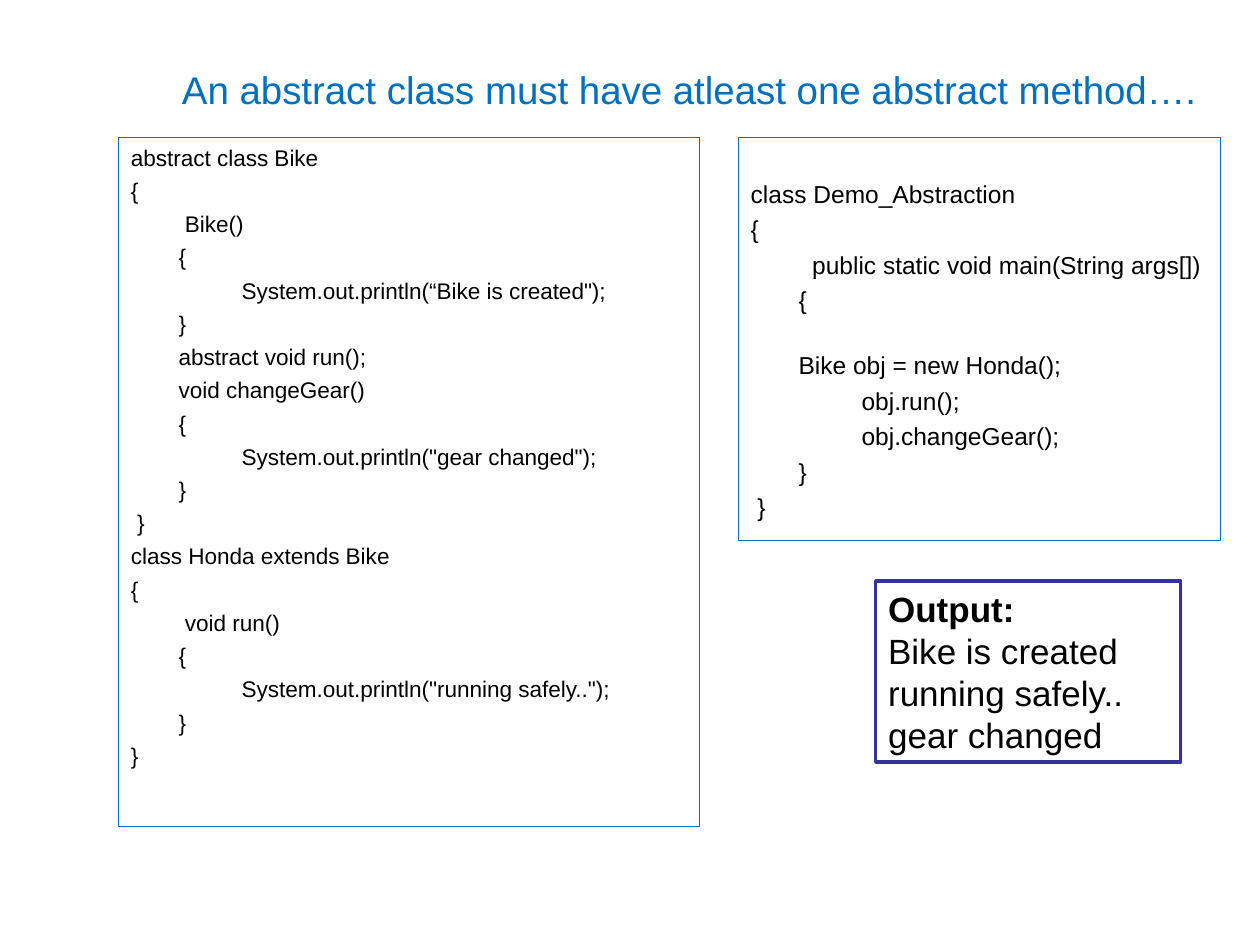
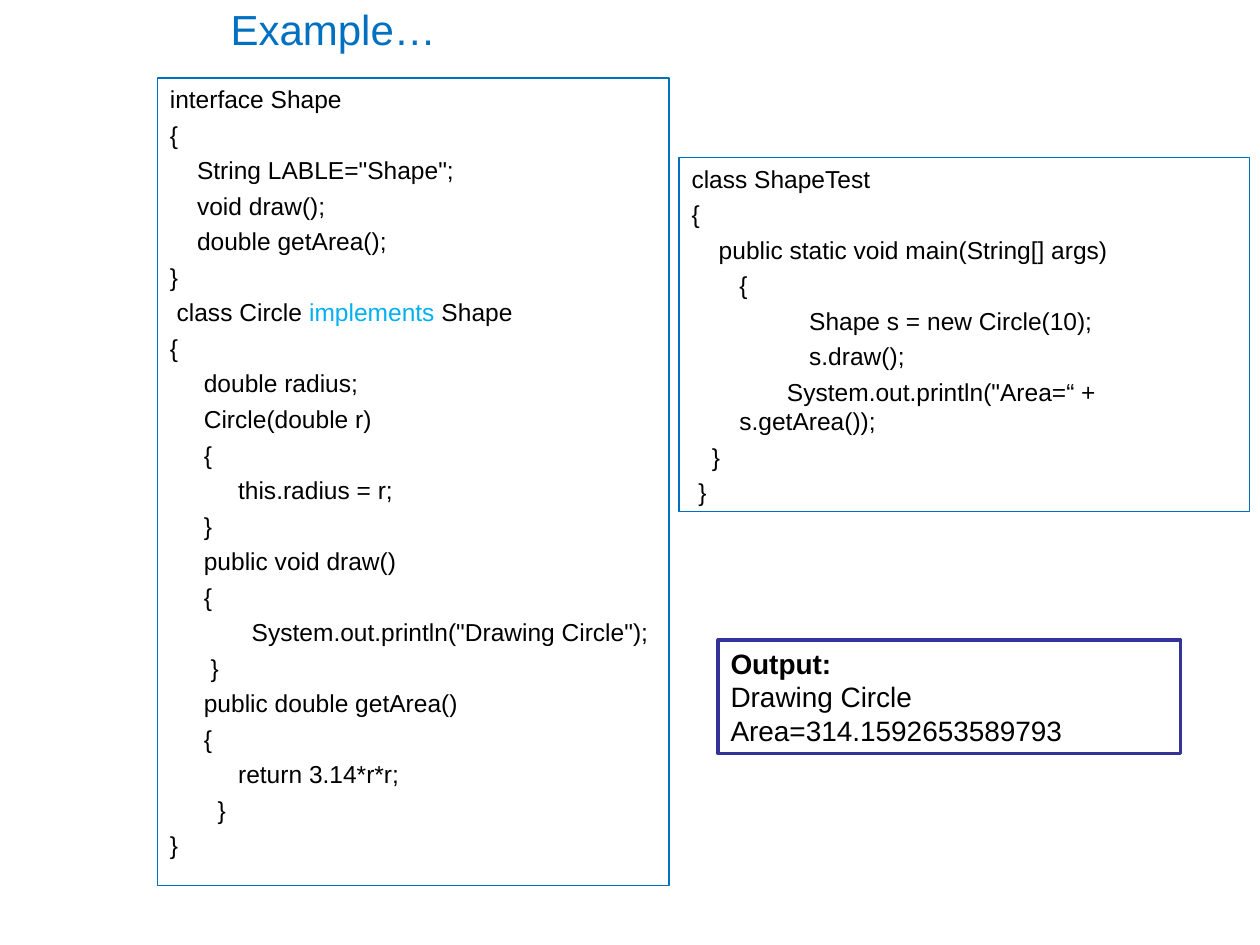
from lxml import etree
from pptx import Presentation, util as u
from pptx.dml.color import RGBColor
from pptx.enum import shapes, text
from pptx.oxml.ns import qn

COLORS = {"title": "0070C0", "code_border": "0070C0", "output_border": "333399",
          "text": "000000", "paper": "FFFFFF", "keyword": "00B0F0"}
FONT = "Arial"
LINE_HEIGHT = 1.2
CODE_GAP = 3.5
CODE_INDENT = 0.38

BIKE_CLASSES = [
    "abstract class Bike",
    "{",
    "\t Bike()",
    "\t{",
    "\t\tSystem.out.println(“Bike is created\");",
    "\t}",
    "\tabstract void run();",
    "\tvoid changeGear()",
    "\t{",
    "\t\tSystem.out.println(\"gear changed\");",
    "\t}",
    " }",
    "class Honda extends Bike",
    "{",
    "\t void run()",
    "\t{",
    "\t\tSystem.out.println(\"running safely..\");",
    "\t}",
    "}",
]
BIKE_DEMO = [
    "class Demo_Abstraction",
    "{",
    "\t  public static void main(String args[])",
    "\t{",
    "\tBike obj = new Honda();",
    "\t\tobj.run();",
    "\t\tobj.changeGear();",
    "\t}",
    " }",
]
SHAPE_TYPES = [
    "interface Shape",
    "{",
    "    String LABLE=\"Shape\";",
    "    void draw();",
    "    double getArea();",
    "}",
    " class Circle implements Shape",
    "{",
    "     double radius;",
    "     Circle(double r)",
    "     {",
    "\t   this.radius = r;",
    "     }",
    "     public void draw()",
    "     {",
    "\t     System.out.println(\"Drawing Circle\");",
    "      }",
    "     public double getArea()",
    "     {",
    "\t   return 3.14*r*r;",
    "\t}",
    "}",
]
SHAPE_TEST = [
    "class ShapeTest",
    "{",
    "    public static void main(String[] args)",
    "\t{",
    "\t\t Shape s = new Circle(10);",
    "\t\t s.draw();",
    "\t       System.out.println(\"Area=“ + s.getArea());",
    "   }",
    " }",
]


def rgb(name):
    return RGBColor.from_string(COLORS[name])


def write(paragraph, content, size, color="text", bold=False):
    run = paragraph.add_run()
    run.text = content
    run.font.name = FONT
    run.font.size = u.Pt(size)
    run.font.bold = bold
    run.font.color.rgb = rgb(color)


def add_code_tabs(paragraph):
    """Hang the first line and put a tab stop on every inch."""
    properties = paragraph._p.get_or_add_pPr()
    indent = u.Inches(CODE_INDENT)
    properties.set("marL", str(indent))
    properties.set("indent", str(-indent))
    stops = etree.SubElement(properties, qn("a:tabLst"))
    for inch in range(8):
        etree.SubElement(stops, qn("a:tab"), pos=str(u.Inches(inch)), algn="l")


class Deck:
    def __init__(self):
        self.presentation = Presentation()
        self.presentation.slide_width = u.Inches(10)
        self.presentation.slide_height = u.Inches(7.5)
        self.slide = None

    def new_slide(self, title, left, top, width, height, size):
        layout = self.presentation.slide_layouts[6]
        self.slide = self.presentation.slides.add_slide(layout)
        heading = self.slide.shapes.add_textbox(*map(u.Inches, (left, top, width, height)))
        frame = heading.text_frame
        frame.word_wrap = True
        frame.vertical_anchor = text.MSO_ANCHOR.MIDDLE
        frame.paragraphs[0].alignment = text.PP_ALIGN.CENTER
        write(frame.paragraphs[0], title, size, color="title")

    def panel(self, place, border, weight, fill=None, top_inset=0.05):
        """Add a bordered rectangle and return its text frame."""
        box = self.slide.shapes.add_shape(shapes.MSO_SHAPE.RECTANGLE, *map(u.Inches, place))
        box.shadow.inherit = False
        box.line.color.rgb = rgb(border)
        box.line.width = u.Pt(weight)
        if fill:
            box.fill.solid()
            box.fill.fore_color.rgb = rgb(fill)
        else:
            box.fill.background()
        frame = box.text_frame
        frame.word_wrap = True
        frame.vertical_anchor = text.MSO_ANCHOR.TOP
        frame.margin_left, frame.margin_right = u.Inches(0.1), u.Inches(0.13)
        frame.margin_top, frame.margin_bottom = u.Inches(top_inset), u.Inches(0.05)
        return frame

    def lines(self, frame, contents, size):
        """Yield each line with the paragraph prepared for it."""
        for number, content in enumerate(contents):
            paragraph = frame.add_paragraph() if number else frame.paragraphs[0]
            paragraph.alignment = text.PP_ALIGN.LEFT
            paragraph.line_spacing = u.Pt(round(size * LINE_HEIGHT, 1))
            yield number, paragraph, content

    def code(self, place, contents, size=14, keyword=None, wide_gap_before=None, top_inset=0.05):
        frame = self.panel(place, "code_border", 0.75, top_inset=top_inset)
        for number, paragraph, content in self.lines(frame, contents, size):
            if number:
                skipped = size * LINE_HEIGHT if number == wide_gap_before else 0
                paragraph.space_before = u.Pt(CODE_GAP + skipped)
            add_code_tabs(paragraph)
            before, found, after = content.partition(keyword) if keyword else (content, "", "")
            for part, color in ((before, "text"), (found, "keyword"), (after, "text")):
                if part:
                    write(paragraph, part, size, color=color)

    def output(self, place, results, size):
        frame = self.panel(place, "output_border", 2, fill="paper")
        for number, paragraph, content in self.lines(frame, ["Output:", *results], size):
            write(paragraph, content, size, bold=number == 0)


def main():
    deck = Deck()

    deck.new_slide("An abstract class must have atleast one abstract method….",
                   0.78, 0.39, 9.38, 0.63, size=22)
    deck.code((0.94, 1.09, 4.61, 5.47), BIKE_CLASSES, size=12.9)
    deck.output((6.95, 4.61, 2.42, 1.44),
                ["Bike is created", "running safely..", "gear changed"], size=20)
    deck.code((5.86, 1.09, 3.83, 3.2), BIKE_DEMO, top_inset=0.33,
              wide_gap_before=BIKE_DEMO.index("\tBike obj = new Honda();"))

    deck.new_slide("Example…", 1.41, -0.01, 2.47, 0.48, size=24)
    deck.code((1.25, 0.62, 4.06, 6.41), SHAPE_TYPES, keyword="implements")
    deck.code((5.39, 1.25, 4.53, 2.81), SHAPE_TEST)
    deck.output((5.7, 5.08, 3.67, 0.9),
                ["Drawing Circle", "Area=314.1592653589793"], size=16)

    deck.presentation.save("out.pptx")


if __name__ == "__main__":
    main()
